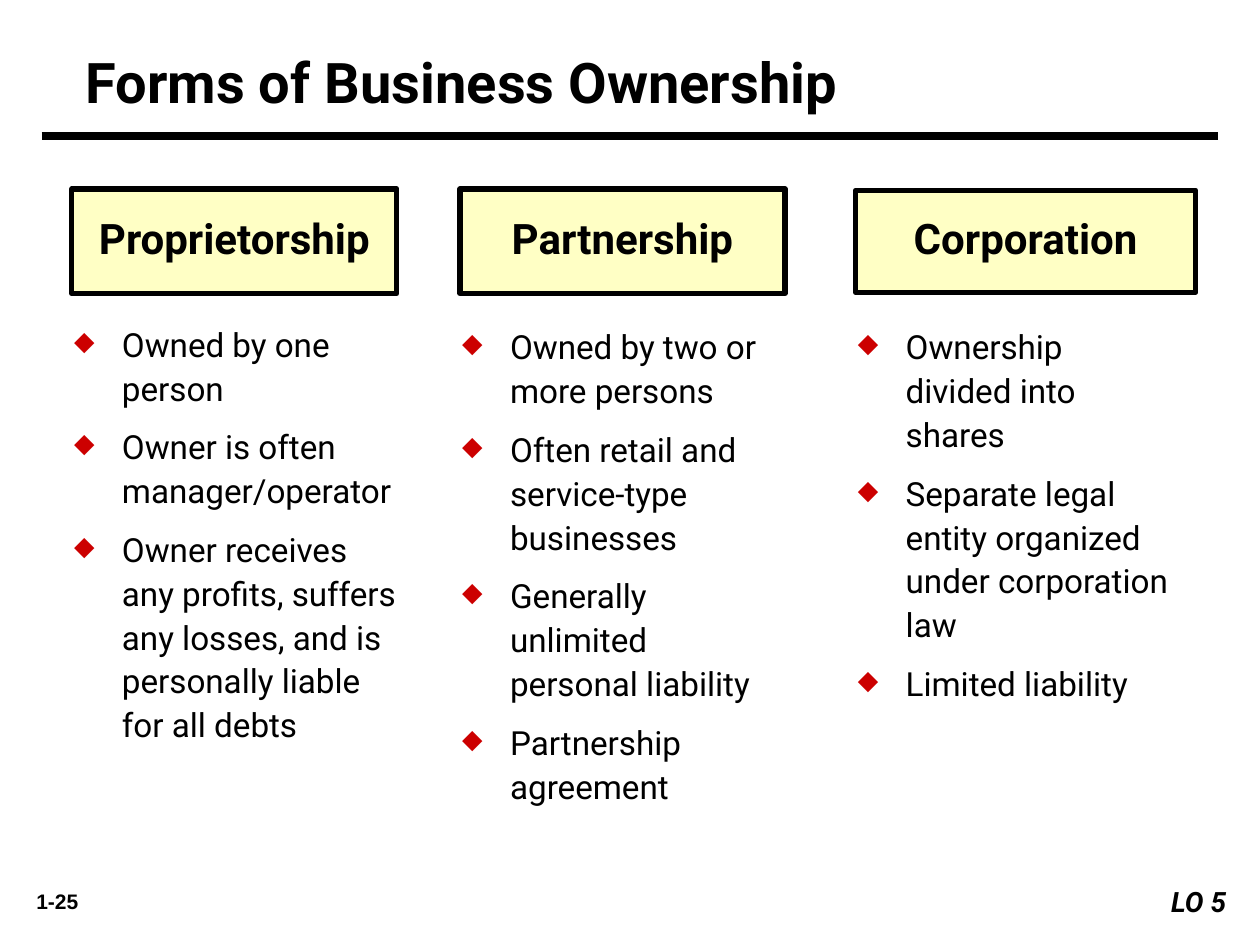
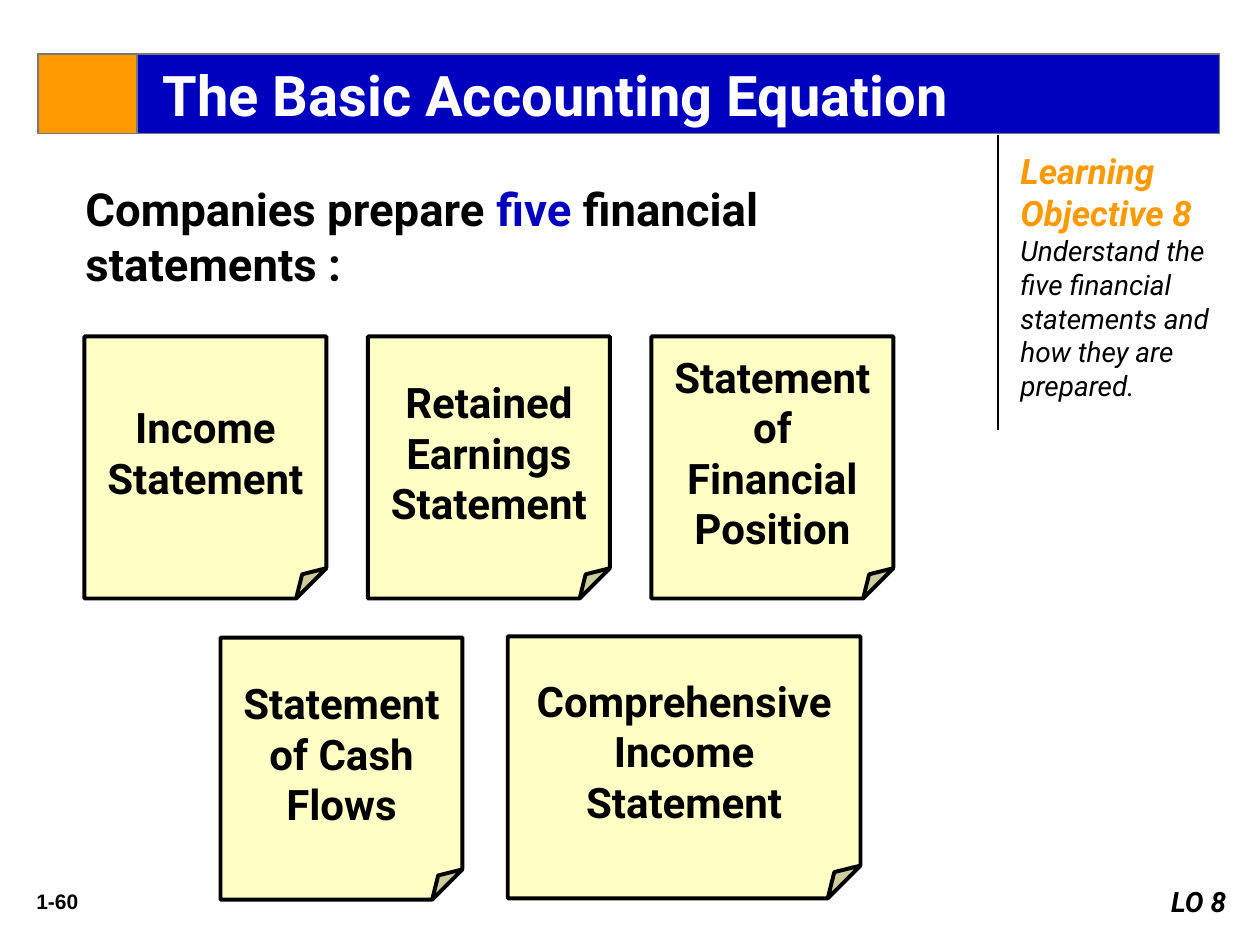
from lxml import etree
from pptx import Presentation
from pptx.dml.color import RGBColor
from pptx.enum import shapes, text
from pptx.oxml import ns
from pptx.util import Inches, Pt

BLACK = RGBColor(0x00, 0x00, 0x00)
WHITE = RGBColor(0xFF, 0xFF, 0xFF)
CREAM = RGBColor(0xFF, 0xFF, 0xC5)
BLUE = RGBColor(0x00, 0x00, 0xBF)
ORANGE = RGBColor(0xFF, 0x99, 0x00)
GRAY = RGBColor(0x77, 0x77, 0x77)
BULLET_RED = "CC0000"

RECT = shapes.MSO_SHAPE.RECTANGLE
NOTE = shapes.MSO_SHAPE.FOLDED_CORNER
LEFT, CENTER, RIGHT = text.PP_ALIGN.LEFT, text.PP_ALIGN.CENTER, text.PP_ALIGN.RIGHT
TOP, MIDDLE = text.MSO_ANCHOR.TOP, text.MSO_ANCHOR.MIDDLE


class Deck:
    font = "Roboto"
    title_size = 32
    heading_size = 24
    bullet_size = 19

    def __init__(self):
        self.prs = Presentation()
        self.prs.slide_width = Inches(10)
        self.prs.slide_height = Inches(7.5)
        self.s = None

    def new_slide(self, number, objective):
        self.s = self.prs.slides.add_slide(self.prs.slide_layouts[6])
        sp = self.text(0.08, 7, 0.75, 0.3, number, 12, bold=True, align=CENTER)
        sp.text_frame.paragraphs[0].runs[0].font.name = "Arial"
        self.box(9, 6.97, 0.83, 0.37, objective, 16, WHITE,
                 align=RIGHT, anchor=TOP, italic=True)

    def style(self, r, size, color=BLACK, bold=False, italic=False):
        r.font.name = self.font
        r.font.size = Pt(size)
        r.font.color.rgb = color
        r.font.bold = bold
        r.font.italic = italic

    def frame(self, sp, anchor, insets):
        tf = sp.text_frame
        tf.word_wrap = True
        tf.vertical_anchor = anchor
        (tf.margin_left, tf.margin_top,
         tf.margin_right, tf.margin_bottom) = [Inches(i) for i in insets]
        return tf

    def text(self, x, y, w, h, words, size, bold=False, align=LEFT,
             insets=(0.1, 0.05, 0.1, 0.05)):
        sp = self.s.shapes.add_textbox(Inches(x), Inches(y), Inches(w), Inches(h))
        tf = self.frame(sp, TOP, insets)
        tf.text = words
        for p in tf.paragraphs:
            p.alignment = align
            for r in p.runs:
                self.style(r, size, bold=bold)
        return sp

    def rich_text(self, x, y, w, h, parts):
        sp = self.s.shapes.add_textbox(Inches(x), Inches(y), Inches(w), Inches(h))
        p = self.frame(sp, TOP, (0.1, 0.05, 0.1, 0.05)).paragraphs[0]
        for words, *look in parts:
            r = p.add_run()
            r.text = words
            self.style(r, *look)

    def box(self, x, y, w, h, words, size, fill, kind=RECT, line=None, weight=1,
            color=BLACK, align=CENTER, anchor=MIDDLE, italic=False,
            insets=(0.1, 0.05, 0.1, 0.05)):
        sp = self.s.shapes.add_shape(kind, Inches(x), Inches(y), Inches(w), Inches(h))
        sp.shadow.inherit = False
        sp.fill.solid()
        sp.fill.fore_color.rgb = fill
        if line is None:
            sp.line.fill.background()
        else:
            sp.line.color.rgb = line
            sp.line.width = Pt(weight)
        if words:
            p = self.frame(sp, anchor, insets).paragraphs[0]
            p.text = words
            p.alignment = align
            self.style(p.runs[0], size, color, True, italic)
        return sp

    def heading(self, x, y, w, h, words):
        self.box(x, y, w, h, words, self.heading_size, CREAM, line=BLACK, weight=3,
                 insets=(0.1, 0, 0.1, 0.05))

    def note(self, x, y, w, words):
        sp = self.box(x, y, w, 2.08, words, self.heading_size, CREAM,
                      kind=NOTE, line=BLACK, weight=2.25)
        guides = sp._element.spPr.find(ns.qn("a:prstGeom")).get_or_add_avLst()
        etree.SubElement(guides, ns.qn("a:gd"), name="adj", fmla="val 12500")

    def bullets(self, x, y, w, h, items):
        sp = self.text(x, y, w, h, "\n".join(items), self.bullet_size,
                       insets=(0.1, 0.12, 0.1, 0.05))
        for i, p in enumerate(sp.text_frame.paragraphs):
            pPr = p._p.get_or_add_pPr()
            pPr.set("marL", str(Inches(0.38)))
            pPr.set("indent", str(-Inches(0.38)))
            clr = etree.SubElement(pPr, ns.qn("a:buClr"))
            etree.SubElement(clr, ns.qn("a:srgbClr"), val=BULLET_RED)
            etree.SubElement(pPr, ns.qn("a:buSzPct"), val="80000")
            etree.SubElement(pPr, ns.qn("a:buChar"), char="◆")
            p.line_spacing = 1.1
            if i:
                p.space_before = Pt(8.5)

    def line(self, x1, y1, x2, y2, weight):
        c = self.s.shapes.add_connector(shapes.MSO_CONNECTOR.STRAIGHT, Inches(x1),
                                        Inches(y1), Inches(x2), Inches(y2))
        c.line.color.rgb = BLACK
        c.line.width = Pt(weight)
        etree.SubElement(c._element.spPr, ns.qn("a:effectLst"))

    def ruled_title(self, words):
        self.text(0.58, 0.33, 8.83, 0.61, words, self.title_size, bold=True)
        self.line(0.33, 1.08, 9.67, 1.08, 4.5)

    def band_title(self, words):
        self.box(1.08, 0.43, 8.6, 0.63, words, self.title_size, BLUE, line=GRAY,
                 color=WHITE, align=LEFT, insets=(0.21, 0.05, 0.09, 0.05))
        self.box(0.3, 0.43, 0.79, 0.63, "", self.title_size, ORANGE, line=GRAY)


def ownership_slide(deck):
    deck.new_slide("1-25", "LO 5")
    deck.ruled_title("Forms of Business Ownership")
    forms = [
        ("Proprietorship", (0.57, 1.5, 2.58, 0.83), (0.49, 2.42, 2.83, 4.42),
         ["Owned by one person",
          "Owner is often manager/operator",
          "Owner receives any profits, suffers any losses, and is personally "
          "liable for all debts"]),
        ("Partnership", (3.65, 1.5, 2.58, 0.83), (3.57, 2.44, 2.69, 4.4),
         ["Owned by two or more persons",
          "Often retail and service-type businesses",
          "Generally unlimited personal liability",
          "Partnership agreement"]),
        ("Corporation", (6.79, 1.51, 2.7, 0.81), (6.71, 2.44, 2.69, 4.4),
         ["Ownership divided into shares",
          "Separate legal entity organized under corporation law",
          "Limited liability"]),
    ]
    for name, heading_area, list_area, items in forms:
        deck.heading(*heading_area, name)
        deck.bullets(*list_area, items)


def statements_slide(deck):
    deck.new_slide("1-60", "LO 8")
    deck.band_title("The Basic Accounting Equation")
    deck.line(7.92, 1.07, 7.92, 3.41, 1)
    deck.rich_text(8, 1.14, 1.72, 2.39, [
        ("Learning Objective 8 ", 20, ORANGE, True, True),
        ("Understand the five financial statements and how they are prepared.",
         16, BLACK, False, True)])
    deck.rich_text(0.58, 1.39, 6.58, 0.98, [
        ("Companies prepare ", 26, BLACK, True),
        ("five ", 26, BLUE, True),
        ("financial statements :", 26, BLACK, True)])
    top_row = ["Income Statement", "Retained Earnings Statement",
               "Statement of Financial Position"]
    for i, name in enumerate(top_row):
        deck.note(0.67 + 2.25 * i, 2.67, 1.92, name)
    deck.note(1.75, 5.06, 1.92, "Statement of Cash Flows")
    deck.note(4.03, 5.05, 2.8, "Comprehensive Income Statement")


def main():
    deck = Deck()
    ownership_slide(deck)
    statements_slide(deck)
    deck.prs.save("out.pptx")


if __name__ == "__main__":
    main()
